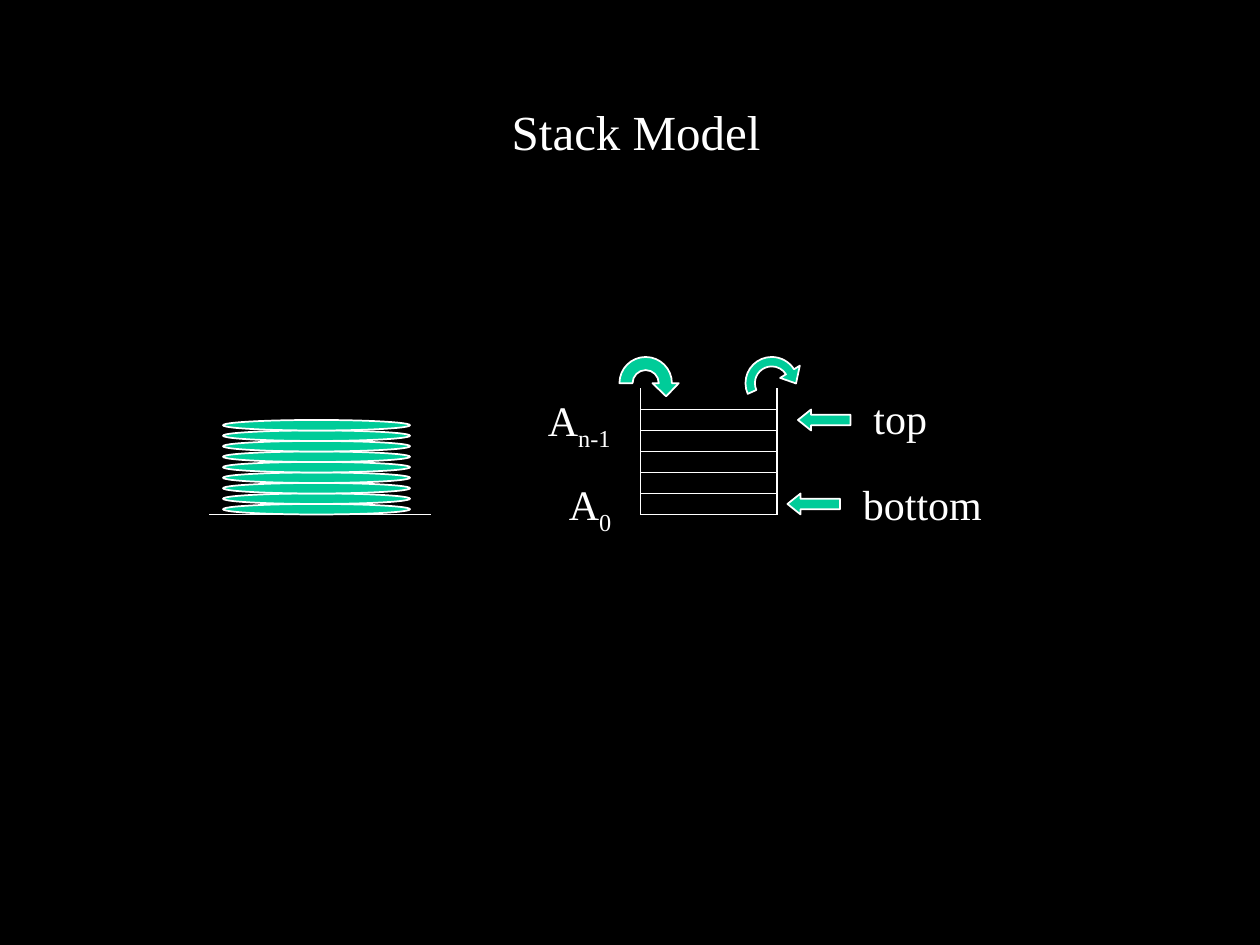
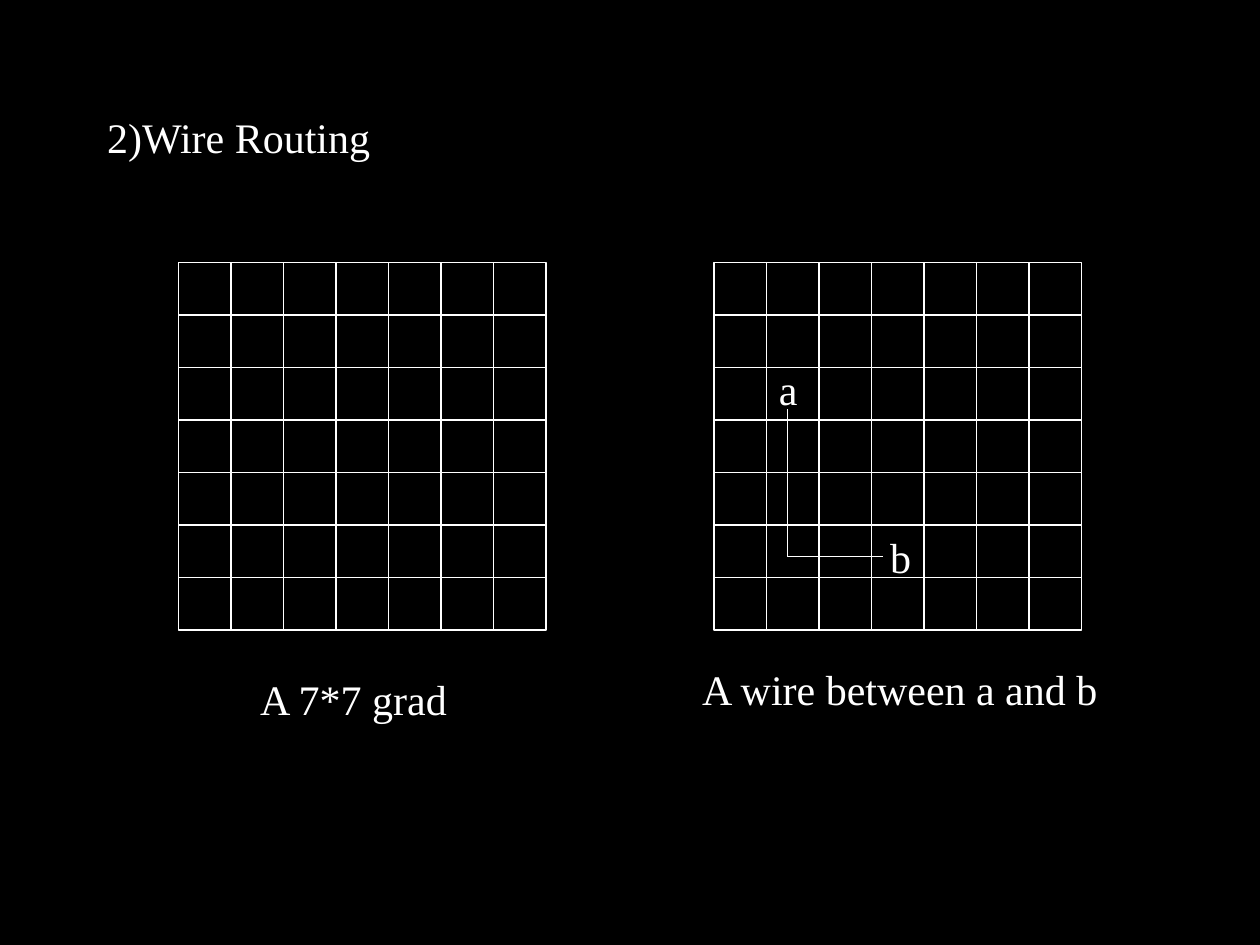
import itertools
import math

import pptx
import pptx.dml.color
import pptx.enum.shapes
import pptx.enum.text
import pptx.oxml.ns
import pptx.util
from lxml import etree

BLACK = pptx.dml.color.RGBColor(0x00, 0x00, 0x00)
WHITE = pptx.dml.color.RGBColor(0xFF, 0xFF, 0xFF)
GREEN = pptx.dml.color.RGBColor(0x00, 0xCC, 0x99)
FONT = "Times New Roman"
SHAPE = pptx.enum.shapes.MSO_SHAPE
ALIGN = pptx.enum.text.PP_ALIGN
qn = pptx.oxml.ns.qn


def u(n):
    """Length of n grid units; the slide is 120 columns by 90 rows."""
    return pptx.util.Inches(n / 12)


def on_circle(radius, angle, along=0):
    """Point at a clockwise angle, moved along the tangent."""
    a = math.radians(angle)
    return (radius * math.cos(a) - along * math.sin(a),
            radius * math.sin(a) + along * math.cos(a))


def arc(radius, angles):
    """Start point, then two control points and an end point per curve."""
    points = [on_circle(radius, angles[0])]
    for a, b in itertools.pairwise(angles):
        reach = radius * 4 / 3 * math.tan(math.radians(b - a) / 4)
        points += [on_circle(radius, a, reach), on_circle(radius, b, -reach),
                   on_circle(radius, b)]
    return points


def merge_curves(segments):
    """Turn each three line segments into one cubic curve."""
    for i in range(0, len(segments), 3):
        curve = etree.Element(qn("a:cubicBezTo"))
        segments[i].addprevious(curve)
        for segment in segments[i:i + 3]:
            curve.append(segment[0])
            segment.getparent().remove(segment)


class Deck:
    def __init__(self):
        self.prs = pptx.Presentation()
        self.prs.slide_width, self.prs.slide_height = u(120), u(90)
        background = self.prs.slide_master.background.fill
        background.solid()
        background.fore_color.rgb = BLACK
        self.s = None
        self.line_width = 1

    def slide(self, title, size, align, rows, line_width):
        self.s = self.prs.slides.add_slide(self.prs.slide_layouts[5])
        self.line_width = line_width
        sp = self.s.shapes.title
        sp.left, sp.top, sp.width, sp.height = u(9), u(8), u(102), u(rows)
        sp.text_frame.text = title
        p = sp.text_frame.paragraphs[0]
        p.alignment = align
        self.style_font(p, size)

    def style_font(self, p, size):
        p.font.name, p.font.size = FONT, pptx.util.Pt(size)
        p.font.color.rgb = WHITE

    def text(self, words, x, y, w, h=6, sub=None, wrap=True, before=0):
        tf = self.s.shapes.add_textbox(u(x), u(y), u(w), u(h)).text_frame
        tf.word_wrap = wrap
        tf.auto_size = pptx.enum.text.MSO_AUTO_SIZE.SHAPE_TO_FIT_TEXT
        p = tf.paragraphs[0]
        p.space_before = pptx.util.Pt(before)
        self.style_font(p, 24)
        p.add_run().text = words
        if sub:
            r = p.add_run()
            r.text = sub
            r.font._element.set("baseline", "-25000")

    def outline(self, sp):
        sp.line.color.rgb = WHITE
        sp.line.width = pptx.util.Pt(self.line_width)
        sp._element.spPr.find(qn("a:ln")).set("cap", "sq")

    def line(self, x1, y1, x2, y2):
        c = self.s.shapes.add_connector(
            pptx.enum.shapes.MSO_CONNECTOR.STRAIGHT, u(x1), u(y1), u(x2), u(y2))
        self.outline(c)
        etree.SubElement(c._element.spPr, qn("a:effectLst"))

    def paint(self, sp, color):
        sp.shadow.inherit = False
        if color is None:
            sp.fill.background()
        else:
            sp.fill.solid()
            sp.fill.fore_color.rgb = color
        self.outline(sp)

    def shape(self, kind, x, y, w, h, color=None, adjustments=()):
        sp = self.s.shapes.add_shape(kind, u(x), u(y), u(w), u(h))
        for i, value in enumerate(adjustments):
            sp.adjustments[i] = value
        self.paint(sp, color)

    def curved_arrow(self, cx, cy, inner, angles, head_inner):
        """Clockwise ring segment through the angles, with an arrowhead."""
        end = angles[-1]
        head = [on_circle(3.15, end), on_circle(1.95, end, 1.25),
                on_circle(head_inner, end)]
        offsets = arc(2.5, angles) + head + arc(inner, angles[::-1])
        points = [(u(cx + x), u(cy + y)) for x, y in offsets]
        builder = self.s.shapes.build_freeform(*points[0])
        builder.add_line_segments(points[1:], close=True)
        sp = builder.convert_to_shape()
        segments = list(sp._element.iter(qn("a:lnTo")))
        curved = 3 * (len(angles) - 1)
        merge_curves(segments[:curved])
        merge_curves(segments[-curved:])
        self.paint(sp, GREEN)

    def square_grid(self, x, y, count=7, cell=5):
        side = count * cell
        self.shape(SHAPE.RECTANGLE, x, y, side, side)
        for offset in range(cell, side, cell):
            self.line(x, y + offset, x + side, y + offset)
        for offset in range(cell, side, cell):
            self.line(x + offset, y, x + offset, y + side)


def stack_model(deck):
    deck.slide(" Stack Model", 28, ALIGN.CENTER, rows=9, line_width=1)

    # Pointer labels
    deck.text("top", 82, 36.8, 25)
    deck.text("bottom", 81, 45, 25)

    # Pile of plates on a table
    deck.line(20, 49, 41, 49)
    for i in range(9):
        deck.shape(SHAPE.OVAL, 21.25, 48 - i, 17.8, 1, GREEN)

    # Stack open at the top
    for x in (74, 61):
        deck.line(x, 37, x, 49)
    for y in range(49, 38, -2):
        deck.line(61, y, 74, y)

    # Push and pop arrows
    deck.curved_arrow(61.5, 36.5, 1.25, (180, 270, 360), head_inner=0.65)
    deck.curved_arrow(73.5, 36.5, 1.6, (156, 180, 270, 328), head_inner=0.95)

    # Pointers and item labels
    for x, y in ((76, 39), (75, 47)):
        deck.shape(SHAPE.LEFT_ARROW, x, y, 5, 2, GREEN, (0.5, 0.625))
    deck.text("A", 53, 45, 8, 6.7, sub="0")
    deck.text("A", 51, 37, 12, 6.7, sub="n-1")


def wire_routing(deck):
    deck.slide("2)Wire Routing", 24, ALIGN.LEFT, rows=10, line_width=0.75)

    # Empty grid and routed grid
    for x in (17, 68):
        deck.square_grid(x, 25)

    # End points of the wire
    deck.text("a", 73, 34, 4.2, wrap=False, before=6)
    deck.text("b", 83.6, 50, 4.4, wrap=False, before=6)

    # Wire from a to b
    deck.line(75, 39, 75, 53)
    deck.line(75, 53, 84, 53)

    # Captions
    deck.text("A 7*7 grad", 23.6, 63.6, 20.4, wrap=False, before=6)
    deck.text("A wire between a and b", 65.7, 62.6, 40.3, wrap=False, before=6)


def main():
    deck = Deck()
    stack_model(deck)
    wire_routing(deck)
    deck.prs.save("out.pptx")


if __name__ == "__main__":
    main()
